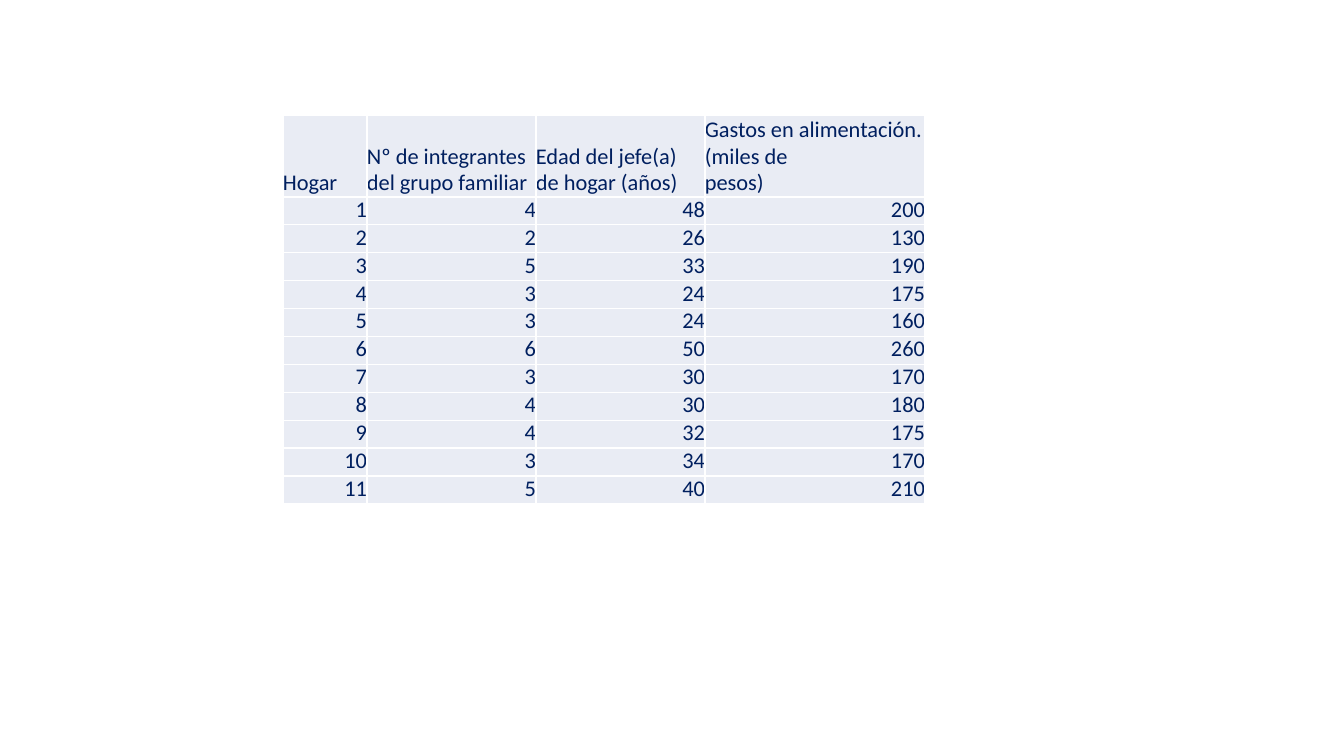
import pptx
import pptx.dml.color
import pptx.enum.text
import pptx.oxml
import pptx.oxml.ns
import pptx.util

EMU_PER_PX = 9071.43  # 100.8 px to the inch
INK, CELL_FILL, GRID = "001F5F", "E9ECF4", "FFFFFF"
ALIGN = pptx.enum.text.PP_ALIGN
ANCHOR = pptx.enum.text.MSO_ANCHOR

HEADINGS = [
    ["Hogar"],
    ["Nº de integrantes", "del grupo familiar"],
    ["Edad del jefe(a)", "de hogar (años)"],
    ["Gastos en alimentación.(miles de", "pesos)"],
]
# Members, age of the head and food spending of each household
HOUSEHOLDS = [
    (4, 48, 200), (2, 26, 130), (5, 33, 190), (3, 24, 175),
    (3, 24, 160), (6, 50, 260), (3, 30, 170), (4, 30, 180),
    (4, 32, 175), (3, 34, 170), (5, 40, 210),
]
COLUMN_SHARES = [84, 169, 169, 220]
HEADER_HEIGHT = 82


def px(length):
    return pptx.util.Emu(round(length * EMU_PER_PX))


def colour(hex_string):
    return pptx.dml.color.RGBColor.from_string(hex_string)


def add_borders(cell):
    properties = cell._tc.get_or_add_tcPr()
    for position, side in enumerate(("lnL", "lnR", "lnT", "lnB")):
        properties.insert(position, pptx.oxml.parse_xml(
            f'<a:{side} {pptx.oxml.ns.nsdecls("a")} w="12700"><a:solidFill>'
            f'<a:srgbClr val="{GRID}"/></a:solidFill></a:{side}>'))


def fill_cell(cell, lines, align, anchor, line_spacing):
    cell.margin_left = cell.margin_right = 0
    cell.margin_top = cell.margin_bottom = 0
    cell.vertical_anchor = anchor
    cell.fill.solid()
    cell.fill.fore_color.rgb = colour(CELL_FILL)
    add_borders(cell)
    cell.text_frame.text = "\n".join(lines)
    for paragraph in cell.text_frame.paragraphs:
        paragraph.alignment = align
        paragraph.line_spacing = pptx.util.Pt(line_spacing)
        paragraph.font.name = "Calibri"
        paragraph.font.size = pptx.util.Pt(16)
        paragraph.font.color.rgb = colour(INK)


def add_household_table(slide, left, top, width, height):
    row_count = len(HOUSEHOLDS) + 1
    table = slide.shapes.add_table(
        row_count, len(HEADINGS), px(left), px(top), px(width), px(height)).table
    table.first_row = table.horz_banding = False

    for column, share in zip(table.columns, COLUMN_SHARES):
        column.width = px(width * share / sum(COLUMN_SHARES))
    for row in table.rows:
        row.height = px((height - HEADER_HEIGHT) / len(HOUSEHOLDS))
    table.rows[0].height = px(HEADER_HEIGHT)

    # Headings
    for column_index, heading in enumerate(HEADINGS):
        fill_cell(table.cell(0, column_index), heading, ALIGN.LEFT, ANCHOR.BOTTOM, 19.2)

    # Numbered households
    for number, figures in enumerate(HOUSEHOLDS, start=1):
        for column_index, figure in enumerate((number, *figures)):
            fill_cell(table.cell(number, column_index), [str(figure)],
                      ALIGN.RIGHT, ANCHOR.TOP, 18.9)


def main():
    presentation = pptx.Presentation()
    presentation.slide_width, presentation.slide_height = px(1344), px(756)
    slide = presentation.slides.add_slide(presentation.slide_layouts[6])
    add_household_table(slide, left=283, top=115, width=642, height=389)
    presentation.save("out.pptx")


if __name__ == "__main__":
    main()
